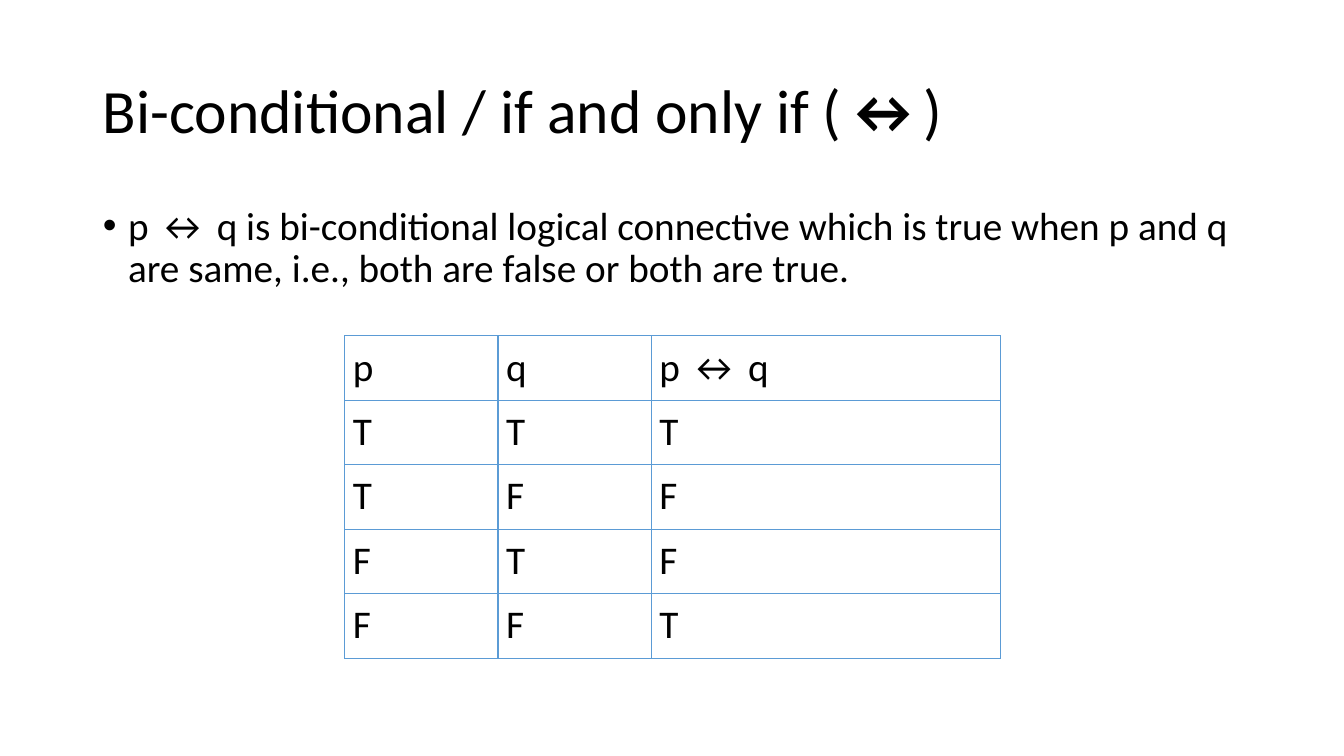
"""Build a slide on the bi-conditional connective with its truth table."""
from lxml import etree
from pptx import Presentation
from pptx.dml.color import RGBColor
from pptx.enum.text import MSO_ANCHOR, MSO_AUTO_SIZE, PP_ALIGN
from pptx.oxml.ns import qn
from pptx.util import Inches, Pt

BLACK = RGBColor(0, 0, 0)
BLUE = RGBColor(0x5B, 0x9B, 0xD5)
LEFT = PP_ALIGN.LEFT
TOP, MIDDLE = MSO_ANCHOR.TOP, MSO_ANCHOR.MIDDLE
FIXED = MSO_AUTO_SIZE.NONE


def style(para, size):
    para.alignment = LEFT
    para.font.name = "Calibri"
    para.font.size = Pt(size)
    para.font.color.rgb = BLACK


def border(cell):
    props = cell._tc.get_or_add_tcPr()
    for place, side in enumerate(("lnL", "lnR", "lnT", "lnB")):
        line = etree.Element(qn(f"a:{side}"), w=str(Pt(1)))
        fill = etree.SubElement(line, qn("a:solidFill"))
        etree.SubElement(fill, qn("a:srgbClr"), val=str(BLUE))
        props.insert(place, line)


prs = Presentation()
prs.slide_width, prs.slide_height = Inches(13.33), Inches(7.5)
slide = prs.slides.add_slide(prs.slide_layouts[1])
title, body = slide.placeholders

for holder, top, height, anchor in ((title, 0.4, 1.45, MIDDLE), (body, 2, 1, TOP)):
    holder.left, holder.top = Inches(0.92), Inches(top)
    holder.width, holder.height = Inches(11.5), Inches(height)
    holder.text_frame.vertical_anchor = anchor
    holder.text_frame.auto_size = FIXED

head = title.text_frame.paragraphs[0]
for text, bold in (("Bi-conditional / if and only if (", False), ("↔", True), (")", False)):
    run = head.add_run()
    run.text = text
    run.font.bold = bold
style(head, 44)
head.line_spacing = 0.9

point = body.text_frame.paragraphs[0]
point.text = (
    "p ↔ q is bi-conditional logical connective which is true when p and q "
    "are same, i.e., both are false or both are true."
)
style(point, 28)
point.line_spacing = 0.9
point.space_before = Pt(10)
props = point._p.get_or_add_pPr()
props.set("marL", str(Inches(0.25)))
props.set("indent", str(Inches(-0.25)))

rows = [("p", "q", "p ↔ q")]
for p in (True, False):
    for q in (True, False):
        rows.append(["T" if value else "F" for value in (p, q, p == q)])

widths = (1.52, 1.52, 3.46)
high = 0.64
frame = slide.shapes.add_table(
    len(rows), len(widths), Inches(3.42), Inches(3.33),
    Inches(sum(widths)), Inches(high * len(rows)),
)
table = frame.table
table.first_row = table.horz_banding = False
for column, width in zip(table.columns, widths):
    column.width = Inches(width)
for row, texts in zip(table.rows, rows):
    row.height = Inches(high)
    for cell, text in zip(row.cells, texts):
        cell.text = text
        style(cell.text_frame.paragraphs[0], 28)
        cell.margin_left = cell.margin_right = Inches(0.08)
        cell.margin_top = cell.margin_bottom = Inches(0.08)
        cell.fill.background()
        border(cell)

prs.save("out.pptx")
